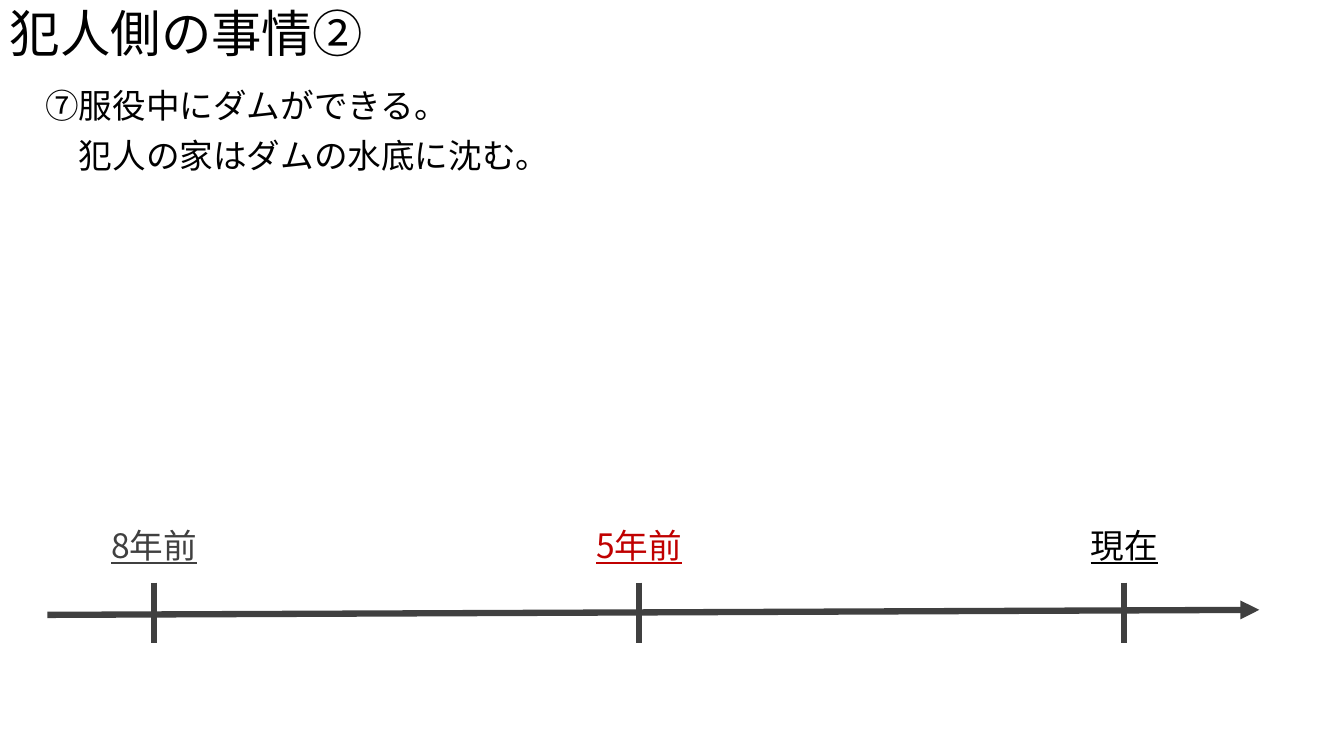
from lxml import etree
from pptx import Presentation
from pptx.dml.color import RGBColor
from pptx.enum.shapes import MSO_CONNECTOR
from pptx.enum.text import MSO_ANCHOR, PP_ALIGN
from pptx.oxml.ns import qn
from pptx.util import Pt

PX = 9144  # EMU per px, 100 px to the inch
FONT = "Noto Sans CJK JP"
BLACK, GREY, RED = "000000", "404040", "C00000"
LEFT, CENTER = PP_ALIGN.LEFT, PP_ALIGN.CENTER
TOP, MIDDLE = MSO_ANCHOR.TOP, MSO_ANCHOR.MIDDLE
STRAIGHT = MSO_CONNECTOR.STRAIGHT

FIRST_MARK, MARK_GAP = 153, 481
MARK_TOP, MARK_BOTTOM = 578, 638
LABEL_TOP, LABEL_WIDTH, LABEL_HEIGHT = 520, 144, 55
PERIODS = [("8年前", GREY), ("5年前", RED), ("現在", BLACK)]


def px(length):
    return length * PX


def color(value):
    return RGBColor.from_string(value)


def add_text(slide, box, lines, size=24, ink=BLACK, align=LEFT,
             anchor=TOP, before=10, underline=False):
    frame = slide.shapes.add_textbox(*map(px, box)).text_frame
    frame.word_wrap = True
    frame.vertical_anchor = anchor
    frame.text = "\n".join(lines)
    for paragraph in frame.paragraphs:
        paragraph.alignment = align
        paragraph.line_spacing = 0.9
        paragraph.space_before = Pt(before)
        font = paragraph.font
        font.size = Pt(size)
        font.color.rgb = color(ink)
        font.name = FONT
        if underline:
            font.underline = True
        # Japanese glyphs take the East Asian typeface
        defaults = paragraph._p.pPr.find(qn("a:defRPr"))
        etree.SubElement(defaults, qn("a:ea"), typeface=FONT)


def add_line(slide, start, end, arrow=False):
    connector = slide.shapes.add_connector(STRAIGHT, *map(px, start + end))
    connector.line.color.rgb = color(GREY)
    connector.line.width = Pt(4.5)
    if arrow:
        etree.SubElement(connector.line._get_or_add_ln(), qn("a:tailEnd"),
                         type="triangle")
    etree.SubElement(connector._element.spPr, qn("a:effectLst"))


def add_period(slide, center, label, ink):
    add_line(slide, (center, MARK_TOP), (center, MARK_BOTTOM))
    box = (center - LABEL_WIDTH // 2, LABEL_TOP, LABEL_WIDTH, LABEL_HEIGHT)
    add_text(slide, box, [label], ink=ink, align=CENTER, underline=True)


def main():
    prs = Presentation()
    prs.slide_width, prs.slide_height = px(1333), px(750)
    slide = prs.slides.add_slide(prs.slide_layouts[6])

    # Title and story
    add_text(slide, (0, 0, 1333, 72), ["犯人側の事情②"],
             size=36, anchor=MIDDLE, before=0)
    add_text(slide, (35, 84, 1262, 620),
             ["⑦服役中にダムができる。", "　犯人の家はダムの水底に沈む。"])

    # Timeline
    add_line(slide, (47, 610), (1249, 605), arrow=True)
    for index, (label, ink) in enumerate(PERIODS):
        add_period(slide, FIRST_MARK + index * MARK_GAP, label, ink)

    prs.save("out.pptx")


if __name__ == "__main__":
    main()
